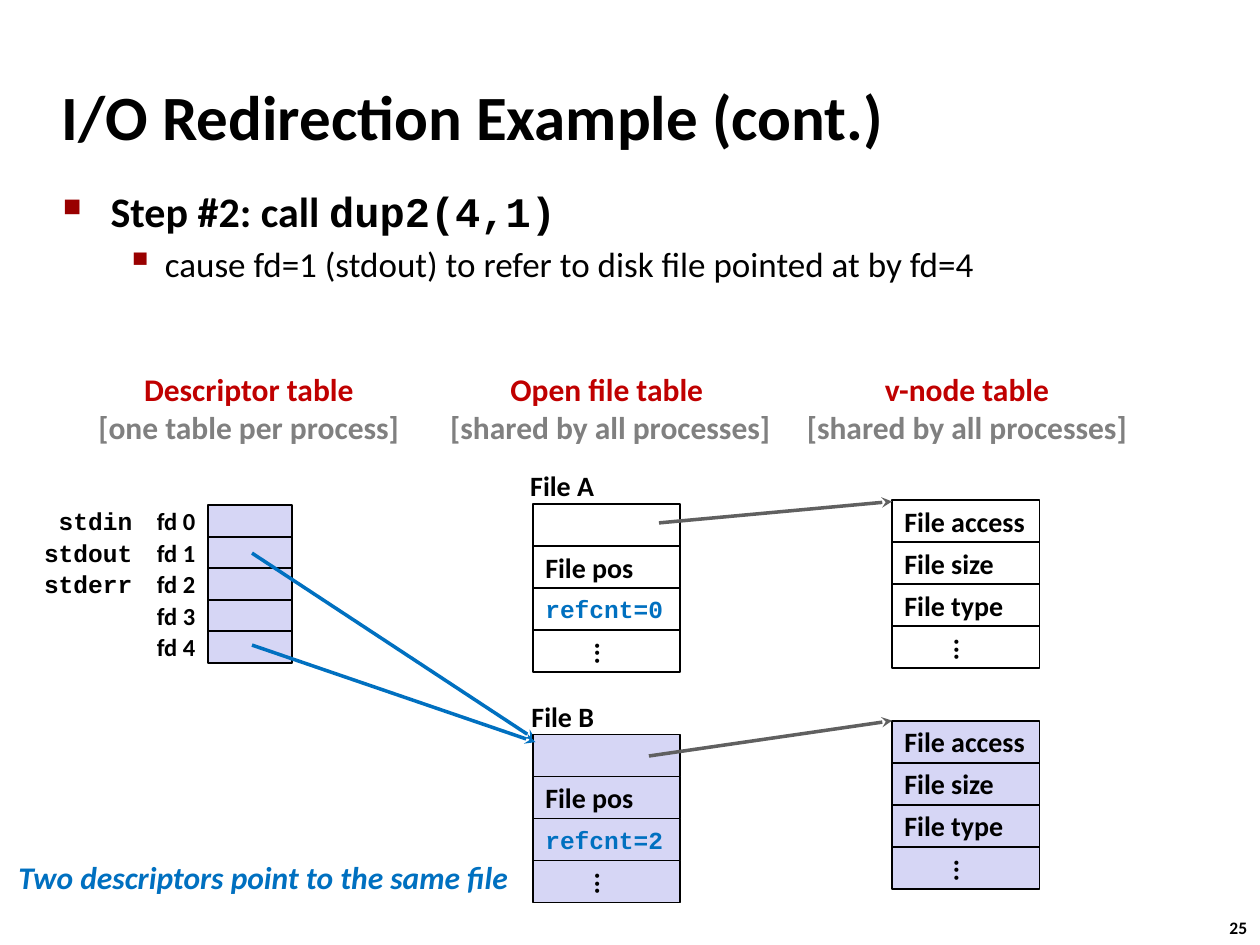
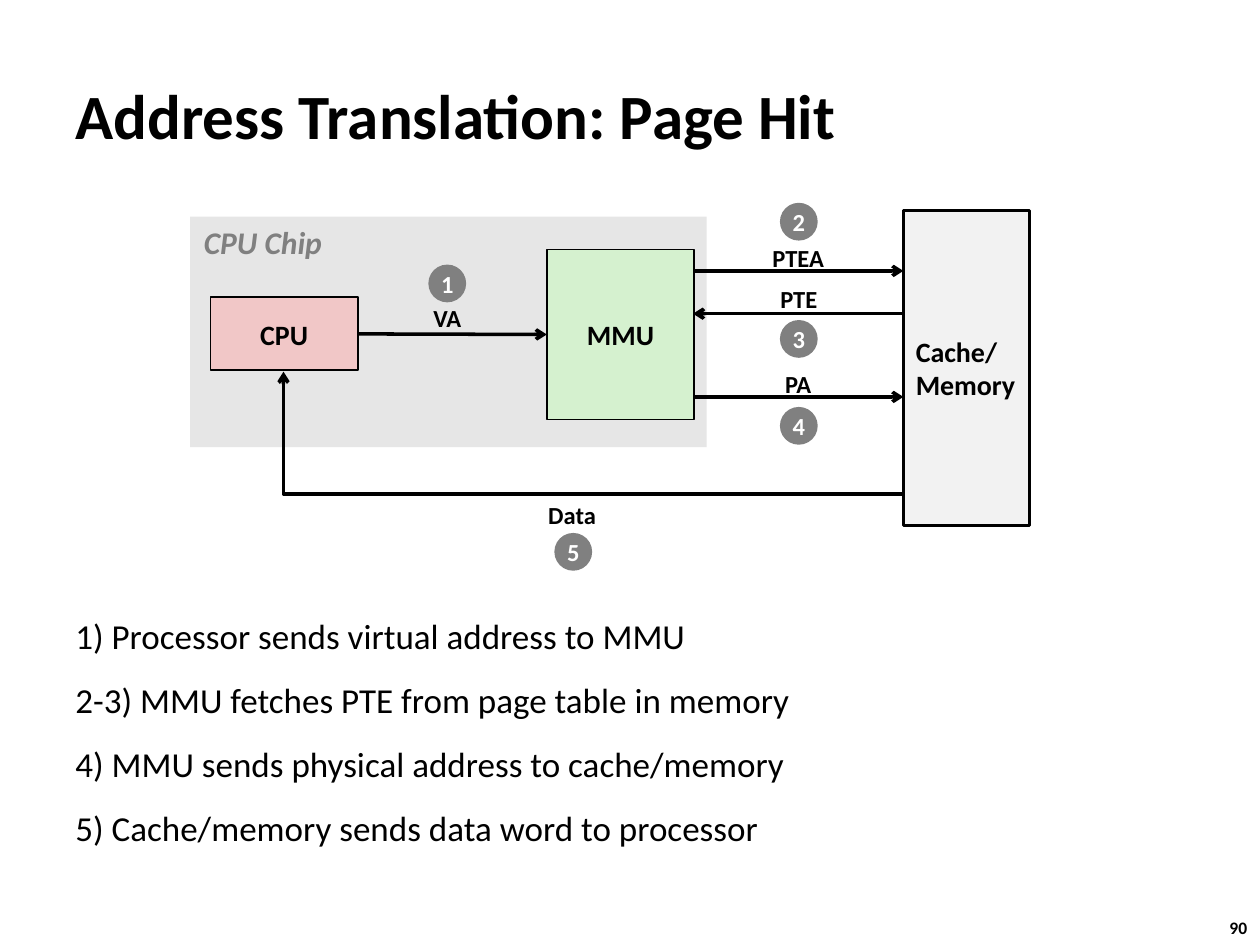
from dataclasses import dataclass
from lxml import etree
from pptx import Presentation
from pptx import util as u
from pptx.dml.color import RGBColor
from pptx.enum import shapes, text
from pptx.oxml import ns


@dataclass(frozen=True)
class Theme:
    black: str = "000000"
    white: str = "FFFFFF"
    red: str = "C00000"
    bullet: str = "990000"
    blue: str = "0070C0"
    grey: str = "808080"
    arrow: str = "606060"
    lavender: str = "D6D6F5"
    chip: str = "E6E6E6"
    memory: str = "F2F2F2"
    green: str = "D5F1CF"
    pink: str = "F1C7C7"
    font: str = "Calibri"
    code: str = "Courier New"
    title: int = 36
    step: int = 24
    body: int = 20
    head: int = 18
    cell: int = 16
    label: int = 14
    number: int = 10


T = Theme()
RECT, OVAL = shapes.MSO_SHAPE.RECTANGLE, shapes.MSO_SHAPE.OVAL
LEFT, CENTER, RIGHT = text.PP_ALIGN.LEFT, text.PP_ALIGN.CENTER, text.PP_ALIGN.RIGHT
TOP, MIDDLE = text.MSO_ANCHOR.TOP, text.MSO_ANCHOR.MIDDLE


def put(s, words, x, y, w, h, sp=None, geom=None, fill=None, border=None, weight=1,
        size=T.cell, font=T.font, color=T.black, bold=True, italic=False,
        align=LEFT, anchor=MIDDLE, wrap=False, before=0, vert=None):
    box = [u.Inches(v) for v in (x, y, w, h)]
    if geom:
        sp = s.shapes.add_shape(geom, *box)
        sp.shadow.inherit = False
        sp.fill.solid()
        sp.fill.fore_color.rgb = RGBColor.from_string(fill)
        if border:
            sp.line.color.rgb = RGBColor.from_string(border)
            sp.line.width = u.Pt(weight)
        else:
            sp.line.fill.background()
    elif sp is None:
        sp = s.shapes.add_textbox(*box)
    sp.left, sp.top, sp.width, sp.height = box
    if not words:
        return sp
    tf = sp.text_frame
    tf.text = words
    tf.word_wrap = wrap
    tf.auto_size = text.MSO_AUTO_SIZE.NONE
    tf.vertical_anchor = anchor
    if vert:
        tf._txBody.bodyPr.set("vert", vert)
    for p in tf.paragraphs:
        p.alignment = align
        p.space_before = u.Pt(before)
        for r in p.runs:
            r.font.name, r.font.size = font, u.Pt(size)
            r.font.bold, r.font.italic = bold, italic
            r.font.color.rgb = RGBColor.from_string(color)
    return sp


def arrow(s, x1, y1, x2, y2, color=T.black, head="arrow", kind=shapes.MSO_CONNECTOR.STRAIGHT):
    c = s.shapes.add_connector(kind, *[u.Inches(v) for v in (x1, y1, x2, y2)])
    c.line.color.rgb = RGBColor.from_string(color)
    c.line.width = u.Pt(2)
    etree.SubElement(c.line._get_or_add_ln(), ns.qn("a:tailEnd"), type=head)
    etree.SubElement(c._element.spPr, ns.qn("a:effectLst"))
    return c


prs = Presentation()
prs.slide_width, prs.slide_height = u.Inches(10), u.Inches(7.5)
slides = []
for title, x, y, w, h, number in [
    ("I/O Redirection Example (cont.)", 0.39, 0.5, 8.3, 0.83, "25"),
    ("Address Translation: Page Hit", 0.5, 0.48, 9.5, 0.86, "90"),
]:
    s = prs.slides.add_slide(prs.slide_layouts[5])
    put(s, title, x, y, w, h, sp=s.shapes.title, size=T.title, wrap=True)
    put(s, number, 9.66, 7.23, 0.37, 0.27, size=T.number, anchor=TOP)
    slides.append(s)

s = slides[0]
sp = put(s, "Step #2: call \ncause fd=1 (stdout) to refer to disk file pointed at by fd=4",
         0.4, 1.42, 9.43, 1.08, size=T.step, anchor=TOP, wrap=True)
step, detail = sp.text_frame.paragraphs
r = step.add_run()
r.text = "dup2(4,1)"
r.font.name, r.font.size, r.font.bold = T.code, u.Pt(T.step), True
r.font.color.rgb = RGBColor.from_string(T.black)
detail.level = 1
detail.runs[0].font.size, detail.runs[0].font.bold = u.Pt(T.body), False
for p, margin, hang, before, mark, percent in [
    (step, 0.38, 0.38, 4.8, "■", 60), (detail, 0.81, 0.31, 4, "▪", 110)
]:
    p.space_before = u.Pt(before)
    pPr = p._p.get_or_add_pPr()
    pPr.set("marL", str(u.Inches(margin)))
    pPr.set("indent", str(-u.Inches(hang)))
    clr = etree.SubElement(pPr, ns.qn("a:buClr"))
    etree.SubElement(clr, ns.qn("a:srgbClr"), val=T.bullet)
    etree.SubElement(pPr, ns.qn("a:buSzPct"), val=str(percent * 1000))
    etree.SubElement(pPr, ns.qn("a:buChar"), char=mark)

for name, scope, x, w in [
    ("Descriptor table", "[one table per process]", 0.67, 2.61),
    ("Open file table ", "[shared by all processes]", 3.46, 2.77),
    ("v-node table", "[shared by all processes]", 6.29, 2.77),
]:
    sp = put(s, f"{name}\n{scope}", x, 2.88, w, 0.71, size=T.head, color=T.red, align=CENTER)
    sp.text_frame.paragraphs[1].runs[0].font.color.rgb = RGBColor.from_string(T.grey)

fd_h = 0.25
for i in range(5):
    y = 4.01 + i * fd_h
    put(s, "", 1.65, y, 0.67, fd_h, geom=RECT, fill=T.lavender, border=T.black)
    put(s, f"fd {i}", 0.98, y, 0.67, fd_h, size=T.label, align=RIGHT)
for i, stream in enumerate(["stdin", "stdout", "stderr"]):
    put(s, stream, 0.25, 3.97 + i * fd_h, 0.9, 0.33, size=T.label, font=T.code, align=RIGHT)

arrow(s, 2, 4.39, 4.25, 5.87, T.blue, "stealth")
row_h = 1 / 3
for x, y, fill, rows in [
    (4.23, 4, T.white, ["", "File pos", "refcnt=0", "..."]),
    (4.23, 5.83, T.lavender, ["", "File pos", "refcnt=2", "..."]),
    (7.08, 3.97, T.white, ["File access", "File size", "File type", "..."]),
    (7.08, 5.72, T.lavender, ["File access", "File size", "File type", "..."]),
]:
    for i, words in enumerate(rows):
        fmt = {}
        if words.startswith("refcnt"):
            fmt = dict(size=T.label, font=T.code, color=T.blue)
        elif words == "...":
            fmt = dict(vert="eaVert")
        put(s, words, x, y + i * row_h, 1.17, row_h, geom=RECT, fill=fill, border=T.black, **fmt)

put(s, "File A", 4.11, 3.67, 0.71, 0.37)
put(s, "File B", 4.12, 5.5, 0.7, 0.37)
arrow(s, 2, 5.12, 4.25, 5.89, T.blue, "stealth")
arrow(s, 5.23, 4.15, 7.08, 3.98, T.arrow, "stealth")
arrow(s, 5.15, 6, 7.08, 5.72, T.arrow, "stealth")
put(s, "Two descriptors point to the same file", 0.02, 6.76, 4.14, 0.4,
    size=T.head, color=T.blue, italic=True, align=CENTER)

s = slides[1]
put(s, "", 1.51, 1.72, 4.1, 1.83, geom=RECT, fill=T.chip)
put(s, "CPU Chip", 1.52, 1.72, 1.16, 0.4, size=T.head, color=T.grey, italic=True, anchor=TOP)
put(s, "1) Processor sends virtual address to MMU\n"
       "2-3) MMU fetches PTE from page table in memory\n"
       "4) MMU sends physical address to cache/memory\n"
       "5) Cache/memory sends data word to processor",
    0.5, 4.83, 7.42, 2.25, size=T.body, bold=False, anchor=TOP, wrap=True, before=12.5)
mmu = put(s, "MMU", 4.34, 1.98, 1.17, 1.35, geom=RECT, fill=T.green, border=T.black, align=CENTER)
cpu = put(s, "CPU", 1.67, 2.36, 1.17, 0.58, geom=RECT, fill=T.pink, border=T.black, align=CENTER)
put(s, "Cache/\nMemory", 7.17, 1.67, 1, 2.5, geom=RECT, fill=T.memory, border=T.black, weight=1.5)

for words, x, y, w in [
    ("VA", 3.34, 2.36, 0.42), ("PTEA", 6.03, 1.88, 0.61), ("PTE", 6.09, 2.21, 0.5),
    ("PA", 6.13, 2.88, 0.41), ("Data", 4.25, 3.92, 0.58),
]:
    put(s, words, x, y, w, 0.33, size=T.label, align=CENTER)

va = arrow(s, 2.84, 2.65, 4.34, 2.65)
va.begin_connect(cpu, 3)
va.end_connect(mmu, 1)
for x1, x2, y in [(5.5, 7.17, 2.15), (7.17, 5.5, 2.49), (5.5, 7.17, 3.15)]:
    arrow(s, x1, y, x2, y)
data = arrow(s, 2.25, 2.95, 7.17, 3.92, kind=shapes.MSO_CONNECTOR.ELBOW)
data._element.spPr.find(ns.qn("a:prstGeom")).set("prst", "bentConnector2")
data._element.spPr.find(ns.qn("a:xfrm")).set("rot", str(180 * 60000))

for i, (x, y) in enumerate([(3.4, 2.1), (6.19, 1.61), (6.19, 2.54), (6.19, 3.23), (4.4, 4.23)], 1):
    put(s, str(i), x, y, 0.3, 0.3, geom=OVAL, fill=T.grey, size=T.label, color=T.white, align=CENTER)

prs.save("out.pptx")
